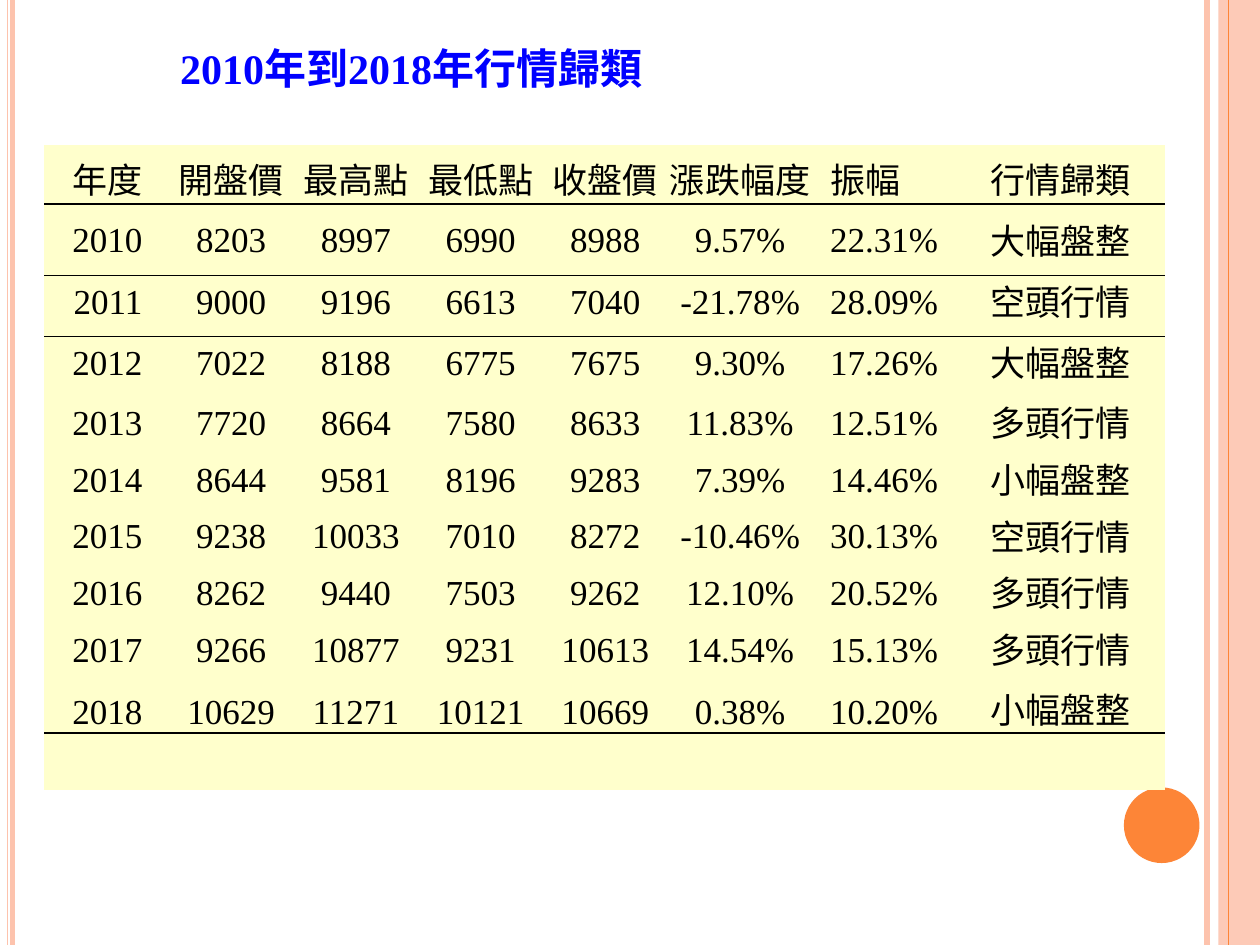
from lxml import etree
from pptx import Presentation
from pptx.dml.color import RGBColor
from pptx.enum.shapes import MSO_CONNECTOR, MSO_SHAPE
from pptx.enum.text import MSO_ANCHOR, MSO_AUTO_SIZE, PP_ALIGN
from pptx.oxml.ns import qn
from pptx.util import Inches, Pt

PEACH = RGBColor(0xFD, 0xC3, 0xAD)
ORANGE = RGBColor(0xFD, 0x85, 0x37)
CREAM = RGBColor(0xFF, 0xFF, 0xCC)
BLUE = RGBColor(0x00, 0x00, 0xFF)
BLACK = RGBColor(0x00, 0x00, 0x00)

SERIF, SANS, CJK = "Times New Roman", "Roboto", "Noto Sans CJK SC"
NO_STYLE_NO_GRID = "{2D5ABB26-0587-4C30-8999-92F81FD0307C}"

HEADERS = ["年度", "開盤價", "最高點", "最低點", "收盤價", "漲跌幅度", "振幅", "行情歸類"]
YEARS = [
    ["2010", "8203", "8997", "6990", "8988", "9.57%", "22.31%", "大幅盤整"],
    ["2011", "9000", "9196", "6613", "7040", "-21.78%", "28.09%", "空頭行情"],
    ["2012", "7022", "8188", "6775", "7675", "9.30%", "17.26%", "大幅盤整"],
    ["2013", "7720", "8664", "7580", "8633", "11.83%", "12.51%", "多頭行情"],
    ["2014", "8644", "9581", "8196", "9283", "7.39%", "14.46%", "小幅盤整"],
    ["2015", "9238", "10033", "7010", "8272", "-10.46%", "30.13%", "空頭行情"],
    ["2016", "8262", "9440", "7503", "9262", "12.10%", "20.52%", "多頭行情"],
    ["2017", "9266", "10877", "9231", "10613", "14.54%", "15.13%", "多頭行情"],
    ["2018", "10629", "11271", "10121", "10669", "0.38%", "10.20%", "小幅盤整"],
]

# Per column: width, alignment, left indent, right margin
LEFT, CENTER, RIGHT = PP_ALIGN.LEFT, PP_ALIGN.CENTER, PP_ALIGN.RIGHT
COLUMNS = [
    (0.92, RIGHT, 0, 0.14), (1.06, CENTER, 0.07, 0), (0.99, CENTER, 0, 0),
    (0.99, CENTER, 0, 0), (0.98, CENTER, 0.01, 0), (1.24, CENTER, 0, 0.07),
    (1.13, LEFT, 0.06, 0), (1.59, LEFT, 0.2, 0),
]
# Per text row: height, top margin, space before, exact line spacing
ROWS = [
    (0.47, 0.12, 8.9, 23.8), (0.57, 0.14, 10.2, None),
    (0.48, 0.06, 4.2, None), (0.48, 0.06, 4.2, None), (0.47, 0.06, 4.2, None),
    (0.45, 0.04, 2.9, None), (0.45, 0.04, 3, None),
    (0.45, 0.04, 2.9, None), (0.46, 0.04, 3, None),
    (0.39, 0.05, 3.6, 23.6),
]
FOOTER_HEIGHT = 0.45
RULES = {0: 1, 1: 0.5, 9: 1}  # row index: width of the line below it


def add_run(p, text, font, size, color, bold=False):
    r = p.add_run()
    r.text = text
    r.font.name, r.font.size, r.font.bold = font, Pt(size), bold
    r.font.color.rgb = color
    ea = etree.SubElement(r._r.get_or_add_rPr(), qn("a:ea"))
    ea.set("typeface", font)


def add_vertical_line(slide, x, color, width):
    line = slide.shapes.add_connector(
        MSO_CONNECTOR.STRAIGHT, Inches(x), 0, Inches(x), Inches(7.5))
    line.line.color.rgb = color
    line.line.width = Pt(width)
    etree.SubElement(line._element.spPr, qn("a:effectLst"))


def add_filled_shape(slide, kind, x, y, w, h, color, alpha=None):
    sp = slide.shapes.add_shape(kind, Inches(x), Inches(y), Inches(w), Inches(h))
    sp.shadow.inherit = False
    sp.fill.solid()
    sp.fill.fore_color.rgb = color
    sp.line.fill.background()
    if alpha:
        clr = sp._element.spPr.find(qn("a:solidFill")).find(qn("a:srgbClr"))
        etree.SubElement(clr, qn("a:alpha")).set("val", str(alpha * 1000))


def set_border(cell, side, width):
    ln = etree.Element(qn(f"a:{side}"), w=str(Pt(width)))
    fill = etree.SubElement(ln, qn("a:solidFill"))
    etree.SubElement(fill, qn("a:srgbClr")).set("val", str(BLACK))
    cell._tc.get_or_add_tcPr().insert(0, ln)


def fill_cell(cell, text, column, row):
    _, align, indent, right = column
    _, top, before, spacing = row
    cell.margin_top, cell.margin_right = Inches(top), Inches(right)
    p = cell.text_frame.paragraphs[0]
    p.alignment, p.space_before = align, Pt(before)
    if spacing:
        p.line_spacing = Pt(spacing)
    pPr = p._p.get_or_add_pPr()
    pPr.set("marL", str(Inches(indent)))
    pPr.set("indent", "0")
    add_run(p, text, SERIF if text.isascii() else SANS, 20, BLACK)


def add_market_table(slide):
    texts = [HEADERS] + YEARS
    heights = [row[0] for row in ROWS] + [FOOTER_HEIGHT]
    frame = slide.shapes.add_table(
        len(heights), len(COLUMNS), Inches(0.35), Inches(1.15),
        Inches(sum(c[0] for c in COLUMNS)), Inches(sum(heights)))
    tbl = frame.table
    tbl.first_row = tbl.horz_banding = False
    tbl._tbl.tblPr.find(qn("a:tableStyleId")).text = NO_STYLE_NO_GRID
    for col, column in zip(tbl.columns, COLUMNS):
        col.width = Inches(column[0])
    for i, height in enumerate(heights):
        tbl.rows[i].height = Inches(height)
        for j, column in enumerate(COLUMNS):
            cell = tbl.cell(i, j)
            cell.margin_left = cell.margin_right = 0
            cell.margin_top = cell.margin_bottom = 0
            cell.fill.solid()
            cell.fill.fore_color.rgb = CREAM
            if i < len(texts):
                fill_cell(cell, texts[i][j], column, ROWS[i])
            # Bottom goes in first so that the top border precedes it
            if i in RULES:
                set_border(cell, "lnB", RULES[i])
            if i - 1 in RULES:
                set_border(cell, "lnT", RULES[i - 1])
    last = len(heights) - 1
    tbl.cell(last, 0).merge(tbl.cell(last, len(COLUMNS) - 1))


def set_title(slide):
    title = slide.shapes.title
    title.left, title.top = Inches(1.42), Inches(0.33)
    title.width, title.height = Inches(3.7), Inches(0.43)
    tf = title.text_frame
    tf.word_wrap = True
    tf.auto_size = MSO_AUTO_SIZE.SHAPE_TO_FIT_TEXT
    tf.vertical_anchor = MSO_ANCHOR.TOP
    tf.margin_left = tf.margin_right = tf.margin_bottom = 0
    tf.margin_top = Inches(0.01)
    p = tf.paragraphs[0]
    p.alignment, p.space_before = LEFT, Pt(1)
    p._p.get_or_add_pPr().set("marL", str(Inches(0.01)))
    for text in ("2010", "年到", "2018", "年行情歸類"):
        add_run(p, text, SERIF if text.isascii() else CJK, 24, BLUE, bold=True)


def main():
    prs = Presentation()
    prs.slide_width, prs.slide_height = Inches(10), Inches(7.5)
    slide = prs.slides.add_slide(prs.slide_layouts[5])

    # Side stripes and circle
    for x, width in ((9.58, 3), (0.1, 2.75), (0.06, 0.91)):
        add_vertical_line(slide, x, PEACH, width)
    add_filled_shape(slide, MSO_SHAPE.RECTANGLE, 9.67, 0, 0.33, 7.5, PEACH, 87)
    add_vertical_line(slide, 9.75, ORANGE, 0.72)
    add_filled_shape(slide, MSO_SHAPE.OVAL, 8.92, 6.25, 0.6, 0.6, ORANGE)

    # Content
    add_market_table(slide)
    set_title(slide)
    prs.save("out.pptx")


if __name__ == "__main__":
    main()
